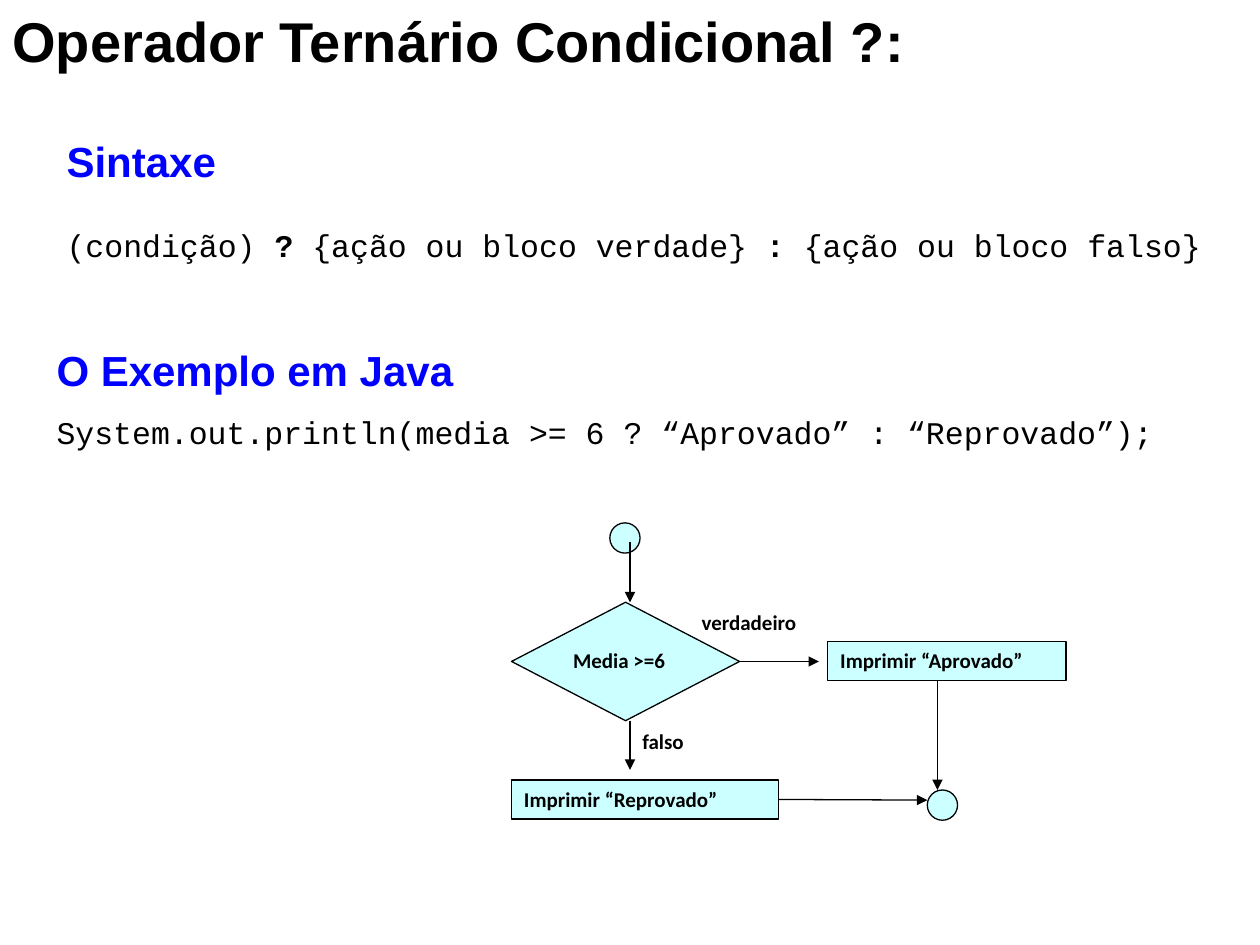
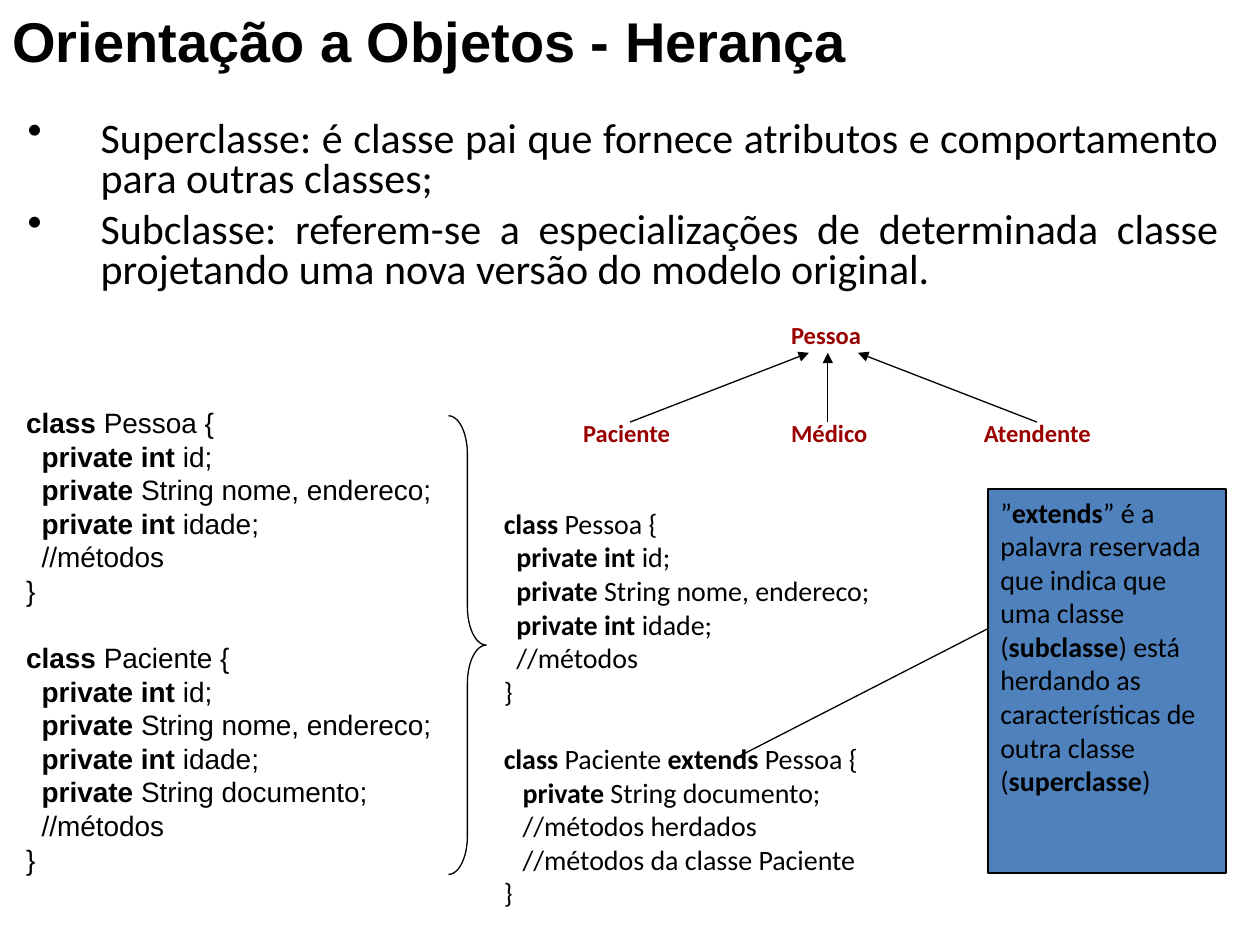
"""Build two Java lesson slides: the ternary operator and inheritance."""
import pptx
import pptx.dml.color
import pptx.enum.shapes
import pptx.enum.text
import pptx.oxml
import pptx.oxml.ns
import pptx.util

COLORS = {
    "black": "000000",
    "heading": "0000FF",
    "flow": "CCFFFF",
    "class": "990000",
    "note": "4F81BD",
}
LINE_WIDTH = pptx.util.Pt(0.75)
CODE_PITCH = 19.2
BULLET_INDENT = pptx.util.Inches(0.58)
Shape = pptx.enum.shapes.MSO_SHAPE
rgb = pptx.dml.color.RGBColor.from_string


def place(page, left, top, width, height, kind=None, fill=None):
    """Add a text box, or an outlined shape when a kind is given."""
    bounds = [pptx.util.Inches(value) for value in (left, top, width, height)]
    if kind is None:
        box = page.shapes.add_textbox(*bounds)
    else:
        box = page.shapes.add_shape(kind, *bounds)
        box.shadow.inherit = False
        box.line.color.rgb = rgb(COLORS["black"])
        box.line.width = LINE_WIDTH
        if fill:
            box.fill.solid()
            box.fill.fore_color.rgb = rgb(COLORS[fill])
        else:
            box.fill.background()
    box.text_frame.word_wrap = True
    box.text_frame.vertical_anchor = pptx.enum.text.MSO_ANCHOR.TOP
    return box


def write(box, text, size=16, font="Calibri", color="black", bold=False,
          before=0, after=0, spacing=None, bullet=False):
    """Append paragraphs; ** toggles bold and a blank line becomes space before."""
    frame = box.text_frame
    gap = before
    for line in text.split("\n"):
        if not line:
            gap += CODE_PITCH
            continue
        first = not frame.paragraphs[0].runs
        para = frame.paragraphs[0] if first else frame.add_paragraph()
        para.alignment = pptx.enum.text.PP_ALIGN.LEFT
        if bullet:
            para.alignment = pptx.enum.text.PP_ALIGN.JUSTIFY
            properties = para._p.get_or_add_pPr()
            properties.set("marL", str(BULLET_INDENT))
            properties.set("indent", str(-BULLET_INDENT))
            mark = pptx.oxml.ns.qn("a:buChar")
            properties.append(properties.makeelement(mark, {"char": "•"}))
        if not first:
            para.space_before = pptx.util.Pt(gap)
        para.space_after = pptx.util.Pt(after)
        if spacing:
            para.line_spacing = spacing
        for index, piece in enumerate(line.split("**")):
            if piece:
                span = para.add_run()
                span.text = piece
                span.font.name = font
                span.font.size = pptx.util.Pt(size)
                span.font.bold = bold or index % 2 == 1
                span.font.color.rgb = rgb(COLORS[color])
        gap = before


deck = pptx.Presentation()
deck.slide_width = pptx.util.Inches(10)
deck.slide_height = pptx.util.Inches(7.5)
pages = []
for title in ["Operador Ternário Condicional ?:", "Orientação a Objetos - Herança"]:
    page = deck.slides.add_slide(deck.slide_layouts[6])
    write(place(page, 0, 0, 10, 0.64), title, size=32, font="Arial", bold=True)
    pages.append(page)
ternary, inheritance = pages

sections = [
    ((0.43, 1.07, 9.29, 1.42), "Sintaxe", 25,
     "(condição) **? **{ação ou bloco verdade} **: **{ação ou bloco falso}"),
    ((0.35, 2.73, 9.21, 1.18), "O Exemplo em Java", 12.5,
     "System.out.println(media >= 6 ? “Aprovado” : “Reprovado”);"),
]
for bounds, heading, gap, code in sections:
    box = place(ternary, *bounds)
    write(box, heading, size=24, font="Arial", color="heading", bold=True, spacing=0.9)
    write(box, code, size=18, font="Courier New", before=gap, spacing=0.9)

decision = place(ternary, 4.06, 4.78, 1.81, 0.94, Shape.FLOWCHART_DECISION, "flow")
for left, top in [(4.84, 4.15), (7.36, 6.27)]:
    place(ternary, left, top, 0.24, 0.24, Shape.FLOWCHART_CONNECTOR, "flow")
approved = place(ternary, 6.57, 5.09, 1.89, 0.31, Shape.RECTANGLE, "flow")
failed = place(ternary, 4.06, 6.19, 2.12, 0.31, Shape.RECTANGLE, "flow")
flow_labels = [
    (approved, "Imprimir “Aprovado”"),
    (failed, "Imprimir “Reprovado”"),
    (place(ternary, 4.45, 5.09, 1.1, 0.3), "Media >=6"),
    (place(ternary, 5.47, 4.79, 1.18, 0.3), "verdadeiro"),
    (place(ternary, 5, 5.73, 0.63, 0.3), "falso"),
]
for box, label in flow_labels:
    write(box, label, size=12, bold=True)

definitions = """Superclasse: é classe pai que fornece atributos e comportamento para outras classes;
Subclasse: referem-se a especializações de determinada classe projetando uma nova versão do modelo original."""
write(place(inheritance, 0.12, 0.91, 9.65, 1.65), definitions, size=24,
      before=3, after=3, spacing=0.8, bullet=True)

person_fields = """  **private int** id;
  **private** String nome, endereco;
  **private int** idade;
"""
person_class = "**class** Pessoa {\n" + person_fields + "  //métodos\n}\n\n"
separate_classes = person_class + "**class** Paciente {\n" + person_fields + """  **private** String documento;
  //métodos
}"""
extended_classes = person_class + """**class **Paciente **extends **Pessoa {
   **private** String documento;
   //métodos herdados
   //métodos da classe Paciente
}"""
note_text = ("”**extends**” é a palavra reservada que indica que uma classe (**subclasse**) "
             "está herdando as características de outra classe (**superclasse**)")
note = place(inheritance, 7.84, 3.88, 1.89, 3.05, Shape.RECTANGLE, "note")
passages = [
    (place(inheritance, 0.11, 3.17, 3.66, 3.84), separate_classes, "Arial"),
    (place(inheritance, 3.9, 3.97, 3.66, 3.31), extended_classes, "Calibri"),
    (note, note_text, "Calibri"),
]
for box, text, font in passages:
    write(box, text, font=font, spacing=pptx.util.Pt(CODE_PITCH))

class_tree = [
    ("Pessoa", 6.18, 2.49, 0.88),
    ("Paciente", 4.53, 3.27, 1),
    ("Médico", 6.18, 3.27, 0.87),
    ("Atendente", 7.71, 3.27, 1.15),
]
for name, left, top, width in class_tree:
    write(place(inheritance, left, top, width, 0.33), name, size=14, color="class", bold=True)
brace = place(inheritance, 3.56, 3.3, 0.3, 3.64, Shape.RIGHT_BRACE)
brace.adjustments[0] = 1.01

connections = [
    (ternary, (5, 4.3, 5, 4.78), None, True),
    (ternary, (5, 5.72, 5, 6.11), None, True),
    (ternary, (5.87, 5.25, 6.5, 5.25), decision, True),
    (ternary, (6.18, 6.35, 7.36, 6.35), failed, True),
    (ternary, (7.44, 5.4, 7.44, 6.27), None, True),
    (inheritance, (5, 3.35, 6.42, 2.8), None, True),
    (inheritance, (6.57, 3.35, 6.57, 2.8), None, True),
    (inheritance, (8.23, 3.35, 6.81, 2.8), None, True),
    (inheritance, (5.87, 6, 7.84, 4.99), None, False),
]
for page, ends, source, has_arrow in connections:
    connector = page.shapes.add_connector(
        pptx.enum.shapes.MSO_CONNECTOR.STRAIGHT, *[pptx.util.Inches(end) for end in ends])
    if source is not None:
        connector.begin_connect(source, 3)
    connector.line.color.rgb = rgb(COLORS["black"])
    connector.line.width = LINE_WIDTH
    if has_arrow:
        outline = connector.line._get_or_add_ln()
        tail = pptx.oxml.ns.qn("a:tailEnd")
        outline.append(outline.makeelement(tail, {"type": "triangle"}))
    properties = connector._element.spPr
    properties.append(properties.makeelement(pptx.oxml.ns.qn("a:effectLst"), {}))

deck.save("out.pptx")
